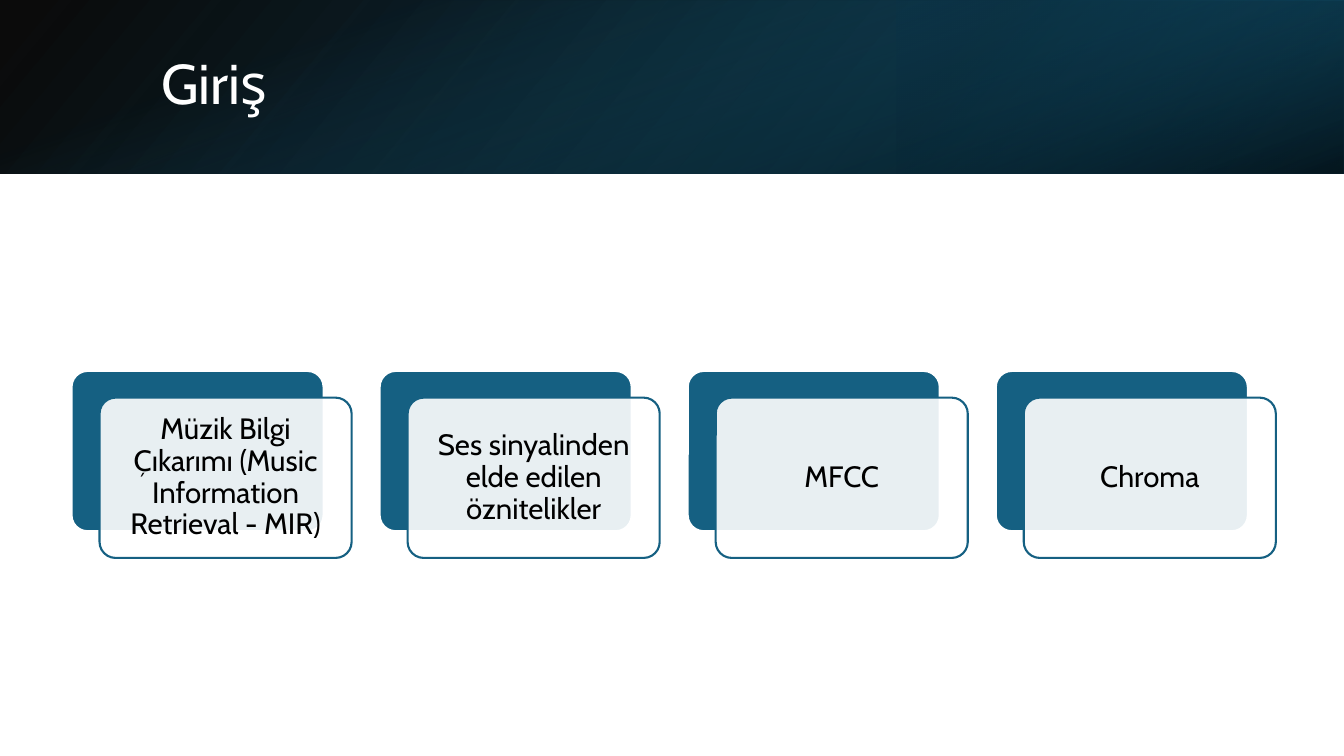
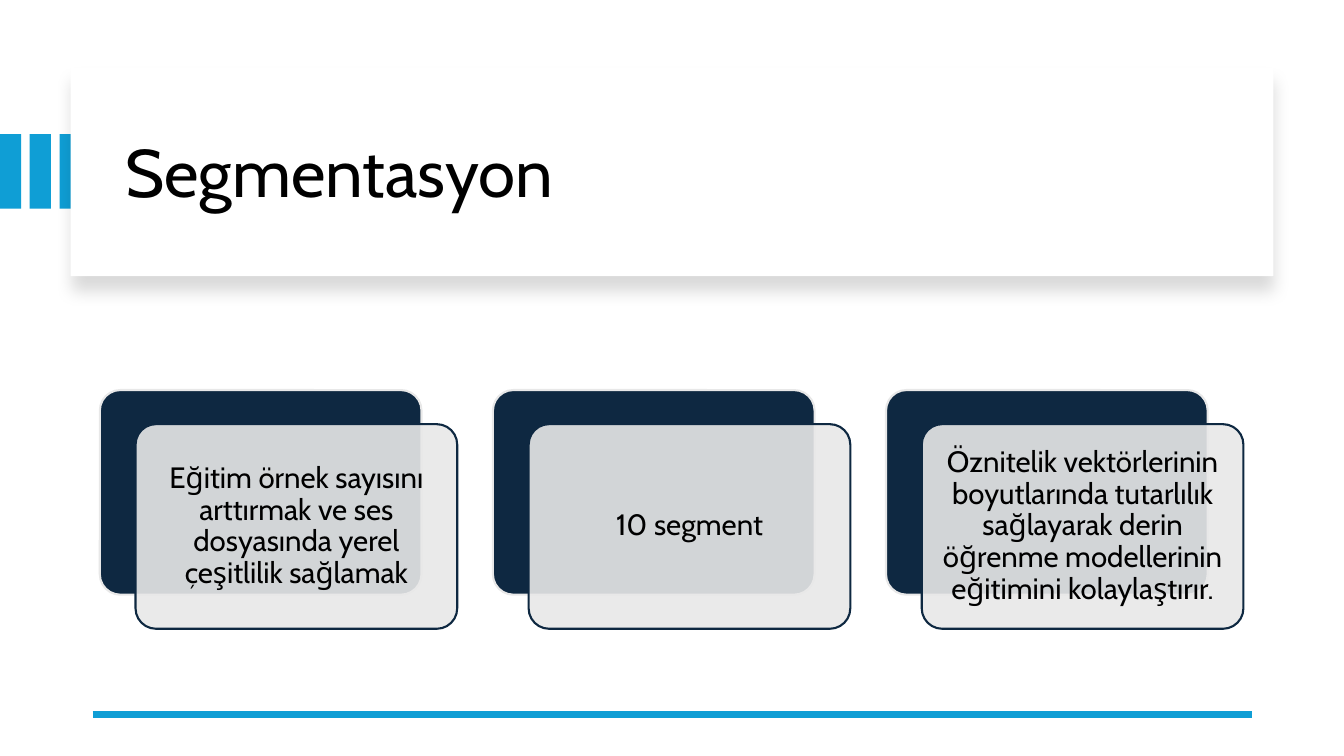
"""Builds two slides of staggered cards under a title."""
from lxml.etree import SubElement
from pptx import Presentation
from pptx.dml.color import RGBColor
from pptx.enum.shapes import MSO_CONNECTOR as Connector, MSO_SHAPE as Shape
from pptx.enum.text import MSO_ANCHOR as Anchor, MSO_AUTO_SIZE as AutoSize, PP_ALIGN as Align
from pptx.oxml.ns import qn
from pptx.util import Inches, Pt

BLACK, WHITE, GREY = "000000", "FFFFFF", "E8E8E8"
TEAL, NAVY, SKY = "156082", "0E2841", "0F9ED5"


def color(value):
    return RGBColor.from_string(value)


def assign(target, values):
    for name, value in values.items():
        setattr(target, name, value)


def add_color(parent, value, alpha):
    node = SubElement(parent, qn("a:srgbClr"), val=value)
    SubElement(node, qn("a:alpha"), val=str(alpha * 1000))


class Deck:
    """Holds the shared style and the current slide."""

    font = "Cabin"
    card_inset = Inches(0.09)

    def __init__(self):
        self.presentation = Presentation()
        assign(self.presentation, {"slide_width": Inches(13.33), "slide_height": Inches(7.5)})
        self.slide = None

    def add_slide(self):
        self.slide = self.presentation.slides.add_slide(self.presentation.slide_layouts[5])

    def set_text(self, shape, text, size, ink, align, inset=None):
        frame = shape.text_frame
        assign(frame, {"text": text, "word_wrap": True, "auto_size": AutoSize.NONE,
                       "vertical_anchor": Anchor.MIDDLE})
        if inset is not None:
            sides = ("left", "top", "right", "bottom")
            assign(frame, {f"margin_{side}": inset for side in sides})
        paragraph = frame.paragraphs[0]
        assign(paragraph, {"alignment": align, "line_spacing": 0.9})
        font = paragraph.runs[0].font
        assign(font, {"name": self.font, "size": Pt(size)})
        font.color.rgb = color(ink)

    def title(self, text, box, size, ink):
        shape = self.slide.shapes.title
        assign(shape, dict(zip(("left", "top", "width", "height"), map(Inches, box))))
        self.set_text(shape, text, size, ink, Align.LEFT)
        element = shape.element
        element.getparent().append(element)

    def box(self, box, fill=None, line=None, kind=Shape.RECTANGLE, alpha=100):
        shape = self.slide.shapes.add_shape(kind, *map(Inches, box))
        shape.shadow.inherit = False
        if fill:
            shape.fill.solid()
            shape.fill.fore_color.rgb = color(fill)
            if alpha < 100:
                node = shape.element.spPr.find(qn("a:solidFill"))[0]
                SubElement(node, qn("a:alpha"), val=str(alpha * 1000))
        else:
            shape.fill.background()
        if line:
            shape.line.color.rgb = color(line)
            shape.line.width = Pt(1.5)
        else:
            shape.line.fill.background()
        return shape

    def gradient(self, box, stops, angle, rotation=0, flip=True):
        shape = self.box(box)
        shape.rotation = rotation
        properties = shape.element.spPr
        if flip:
            properties.find(qn("a:xfrm")).set("flipH", "1")
        gradient = SubElement(properties, qn("a:gradFill"), rotWithShape="1")
        properties.replace(properties.find(qn("a:noFill")), gradient)
        stop_list = SubElement(gradient, qn("a:gsLst"))
        for position, value, alpha in stops:
            add_color(SubElement(stop_list, qn("a:gs"), pos=str(position * 1000)), value, alpha)
        SubElement(gradient, qn("a:lin"), ang=str(angle * 60000), scaled="0")

    def shadowed_panel(self, box, blur, distance, alpha):
        shape = self.box(box, WHITE)
        effects = shape.element.spPr.find(qn("a:effectLst"))
        shadow = SubElement(effects, qn("a:outerShdw"), blurRad=str(Pt(blur)),
                            dist=str(Pt(distance)), dir="5400000", algn="t", rotWithShape="0")
        add_color(shadow, BLACK, alpha)

    def rule(self, left, right, top, ink, width):
        ends = map(Inches, (left, top, right, top))
        connector = self.slide.shapes.add_connector(Connector.STRAIGHT, *ends)
        connector.line.color.rgb = color(ink)
        connector.line.width = Pt(width)
        SubElement(connector.element.spPr, qn("a:effectLst"))

    def card(self, text, box, dark, light):
        left, top, width, height = box
        front = (left + width / 9, top + height / 6, width, height)
        back_card = self.box(box, dark, light, Shape.ROUNDED_RECTANGLE)
        front_card = self.box(front, light, dark, Shape.ROUNDED_RECTANGLE, alpha=90)
        for shape in (back_card, front_card):
            shape.adjustments[0] = 0.1
        self.set_text(front_card, text, 21, BLACK, Align.CENTER, self.card_inset)

    def card_row(self, texts, first_box, dark, light):
        left, top, width, height = first_box
        for index, text in enumerate(texts):
            self.card(text, (left + index * width * 11 / 9, top, width, height), dark, light)


def build_intro(deck):
    deck.add_slide()
    deck.gradient((0, 0, 13.33, 1.72), [(0, BLACK, 96), (100, "104862", 100)], 140)
    deck.gradient((8.89, 0, 4.44, 1.72), [(19, "0B3041", 68), (100, TEAL, 79)], 320, 180)
    deck.gradient((5.8, -5.8, 1.72, 13.33), [(23, TEAL, 0), (99, BLACK, 74)], 340, 90, False)
    deck.title("Giriş", (1.5, 0.38, 10.98, 0.96), 40, WHITE)
    deck.card_row(["Müzik Bilgi Çıkarımı (Music Information Retrieval - MIR)",
                   "Ses sinyalinden elde edilen öznitelikler", "MFCC", "Chroma"],
                  (0.71, 3.68, 2.5, 1.59), TEAL, WHITE)


def build_segmentation(deck):
    deck.add_slide()
    for index in range(3):
        deck.box((index * 0.295, 1.33, 0.21, 0.74), SKY)
    deck.shadowed_panel((0.7, 0.67, 11.93, 2.07), blur=11, distance=10, alpha=15)
    deck.title("Segmentasyon", (1.14, 0.89, 11.13, 1.7), 48, BLACK)
    deck.rule(0.92, 12.42, 7.09, SKY, 4.5)
    deck.card_row(["Eğitim örnek sayısını arttırmak ve ses dosyasında yerel çeşitlilik sağlamak",
                   "10 segment",
                   "Öznitelik vektörlerinin boyutlarında tutarlılık sağlayarak derin öğrenme "
                   "modellerinin eğitimini kolaylaştırır."],
                  (0.99, 3.87, 3.19, 2.03), NAVY, GREY)


def main():
    deck = Deck()
    build_intro(deck)
    build_segmentation(deck)
    deck.presentation.save("out.pptx")


if __name__ == "__main__":
    main()
